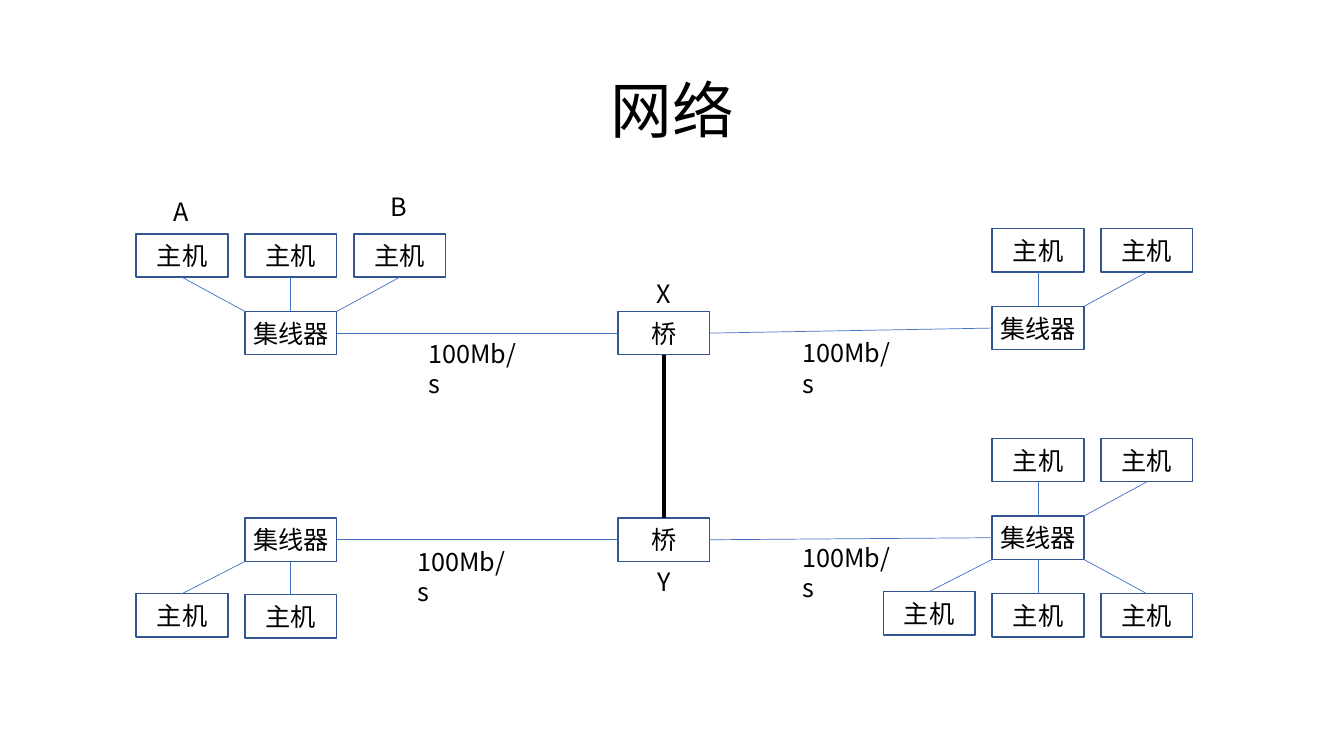
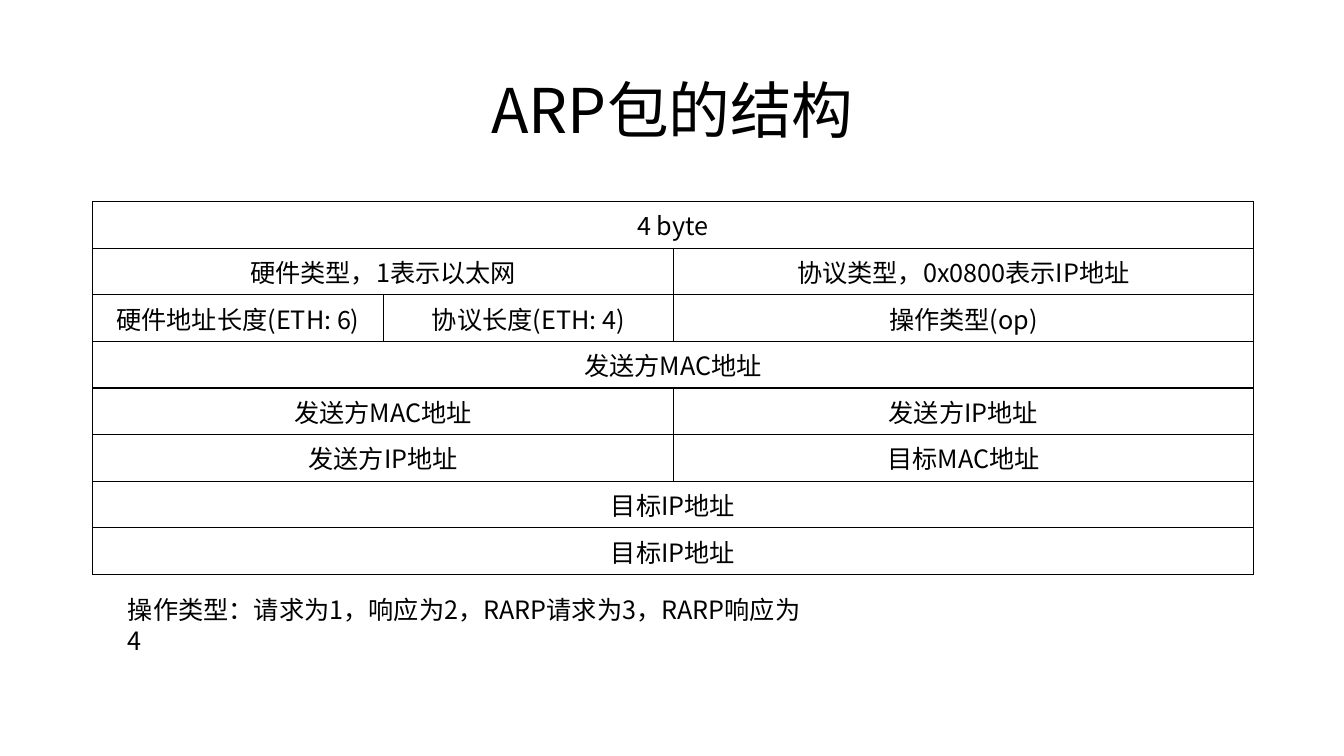
from lxml.etree import SubElement
from pptx import Presentation
from pptx.dml.color import RGBColor
from pptx.enum.shapes import MSO_CONNECTOR, MSO_SHAPE
from pptx.enum.text import MSO_ANCHOR, MSO_AUTO_SIZE, PP_ALIGN
from pptx.oxml import parse_xml
from pptx.oxml.ns import nsdecls, qn
from pptx.util import Emu, Pt

PX = 9144  # 100 px to the inch
BLACK = RGBColor(0x00, 0x00, 0x00)
OUTLINE = RGBColor(0x32, 0x54, 0x91)
LINK = RGBColor(0x44, 0x72, 0xC4)
FONT = "Noto Sans CJK SC"
BODY_FONT = {"name": FONT, "size": Pt(18), "bold": False}
TITLE_FONT = {"name": FONT, "size": Pt(44)}
TITLE_PARA = {"alignment": PP_ALIGN.CENTER, "line_spacing": 0.9}
CENTRED = {"alignment": PP_ALIGN.CENTER}
NODE_FRAME = {"margin_left": 0, "margin_right": 0, "margin_top": 0,
              "margin_bottom": 0, "vertical_anchor": MSO_ANCHOR.MIDDLE}
LABEL_FRAME = {"word_wrap": True, "auto_size": MSO_AUTO_SIZE.SHAPE_TO_FIT_TEXT}
TOP, LEFT, BOTTOM, RIGHT = range(4)

NODE_W, NODE_H, PITCH = 91, 43, 108
WEST, EAST = 243, 984  # left edges of the hub columns
BRIDGE_X = 613

# hub: left, top, then its hosts as (columns from the hub, top)
HUBS = {
    "north_west": (WEST, 309, [(-1, 232), (0, 232), (1, 232)]),
    "north_east": (EAST, 304, [(0, 227), (1, 227)]),
    "south_west": (WEST, 514, [(-1, 589), (0, 590)]),
    "south_east": (EAST, 512, [(0, 435), (1, 435),
                               (-1, 587), (0, 589), (1, 589)]),
}
LABELS = [
    ("A", 162, 190, 36), ("B", 378, 185, 34),
    ("X", 641, 271, 35), ("Y", 642, 557, 35),
    ("100Mb/s", 415, 331, 116), ("100Mb/s", 786, 330, 116),
    ("100Mb/s", 404, 537, 116), ("100Mb/s", 786, 533, 116),
]
PACKET_COLUMNS = (288, 288, 575)
PACKET_ROW_H = 41
PACKET_ROWS = [
    ["4 byte"],
    ["硬件类型，1表示以太网", "协议类型，0x0800表示IP地址"],
    ["硬件地址长度(ETH: 6)", "协议长度(ETH: 4)", "操作类型(op)"],
    ["发送方MAC地址"],
    ["发送方MAC地址", "发送方IP地址"],
    ["发送方IP地址", "目标MAC地址"],
    ["目标IP地址"],
    ["目标IP地址"],
]
# first and last column of each field, by the number of fields in a row
FIELD_SPANS = {1: [(0, 2)], 2: [(0, 1), (2, 2)], 3: [(0, 0), (1, 1), (2, 2)]}


def px(*lengths):
    return [Emu(length * PX) for length in lengths]


def set_format(target, values):
    for name, value in values.items():
        setattr(target, name, value)


def write(frame, text, font=BODY_FONT, para_format=None):
    para = frame.paragraphs[0]
    set_format(para, para_format or {})
    span = para.add_run()
    span.text = text
    set_format(span.font, font)
    span.font.color.rgb = BLACK
    east_asian = SubElement(span.font._element, qn("a:ea"))
    east_asian.set("typeface", FONT)


def add_page(deck, title):
    page = deck.slides.add_slide(deck.slide_layouts[5])
    box = page.shapes.title
    box.left, box.top, box.width, box.height = px(92, 40, 1150, 145)
    box.text_frame.vertical_anchor = MSO_ANCHOR.MIDDLE
    write(box.text_frame, title, TITLE_FONT, TITLE_PARA)
    return page


def add_label(page, text, left, top, width):
    box = page.shapes.add_textbox(*px(left, top, width, 40))
    set_format(box.text_frame, LABEL_FRAME)
    write(box.text_frame, text)


def add_node(page, text, left, top):
    node = page.shapes.add_shape(MSO_SHAPE.RECTANGLE,
                                 *px(left, top, NODE_W, NODE_H))
    node.shadow.inherit = False
    node.fill.background()
    node.line.color.rgb = OUTLINE
    node.line.width = Pt(1)
    set_format(node.text_frame, NODE_FRAME)
    write(node.text_frame, text, para_format=CENTRED)
    return node


def add_link(page, start, start_side, end, end_side=None, corner=(0, 0),
             color=LINK, width=0.5):
    """Join start to a side of end, or to a corner point when no side is given."""
    link = page.shapes.add_connector(MSO_CONNECTOR.STRAIGHT, 0, 0, *corner)
    link.begin_connect(start, start_side)
    if end_side is not None:
        link.end_connect(end, end_side)
    link.line.color.rgb = color
    link.line.width = Pt(width)
    SubElement(link._element.spPr, qn("a:effectLst"))


def add_hub(page, left, top, hosts):
    hub = add_node(page, "集线器", left, top)
    for column, host_top in hosts:
        host = add_node(page, "主机", left + column * PITCH, host_top)
        above = host_top < top
        host_side, hub_side = (BOTTOM, TOP) if above else (TOP, BOTTOM)
        if column == 0:
            add_link(page, host, host_side, hub, hub_side)
        else:
            corner = px(left + (NODE_W if column > 0 else 0),
                        top + (0 if above else NODE_H))
            add_link(page, host, host_side, hub, corner=corner)
    return hub


def add_network(page):
    hubs = {name: add_hub(page, *layout) for name, layout in HUBS.items()}
    bridges = {"north": add_node(page, "桥", BRIDGE_X, 309),
               "south": add_node(page, "桥", BRIDGE_X, 514)}
    for name, bridge in bridges.items():
        add_link(page, hubs[f"{name}_west"], RIGHT, bridge, LEFT)
        add_link(page, bridge, RIGHT, hubs[f"{name}_east"], LEFT)
    add_link(page, bridges["north"], BOTTOM, bridges["south"], TOP,
             color=BLACK, width=3)
    for label in LABELS:
        add_label(page, *label)


def style_cell(cell):
    cell.fill.background()
    properties = cell._tc.get_or_add_tcPr()
    for index, edge in enumerate(("lnL", "lnR", "lnT", "lnB")):
        properties.insert(index, parse_xml(
            f'<a:{edge} {nsdecls("a")} w="{Pt(1)}"><a:solidFill>'
            f'<a:srgbClr val="{BLACK}"/></a:solidFill></a:{edge}>'))


def add_packet_table(page):
    height = PACKET_ROW_H * len(PACKET_ROWS)
    table = page.shapes.add_table(
        len(PACKET_ROWS), len(PACKET_COLUMNS),
        *px(92, 200, sum(PACKET_COLUMNS), height)).table
    set_format(table, {"first_row": False, "horz_banding": False})
    for column, width in zip(table.columns, px(*PACKET_COLUMNS)):
        column.width = width
    for cell in table.iter_cells():
        style_cell(cell)
    for row, fields in enumerate(PACKET_ROWS):
        table.rows[row].height = Emu(PACKET_ROW_H * PX)
        for text, (first, last) in zip(fields, FIELD_SPANS[len(fields)]):
            cell = table.cell(row, first)
            if last > first:
                cell.merge(table.cell(row, last))
            write(cell.text_frame, text, para_format=CENTRED)


def main():
    deck = Presentation()
    deck.slide_width, deck.slide_height = px(1333, 750)
    add_network(add_page(deck, "网络"))
    packet_page = add_page(deck, "ARP包的结构")
    add_packet_table(packet_page)
    add_label(packet_page,
              "操作类型：请求为1，响应为2，RARP请求为3，RARP响应为4",
              117, 585, 694)
    deck.save("out.pptx")


if __name__ == "__main__":
    main()
